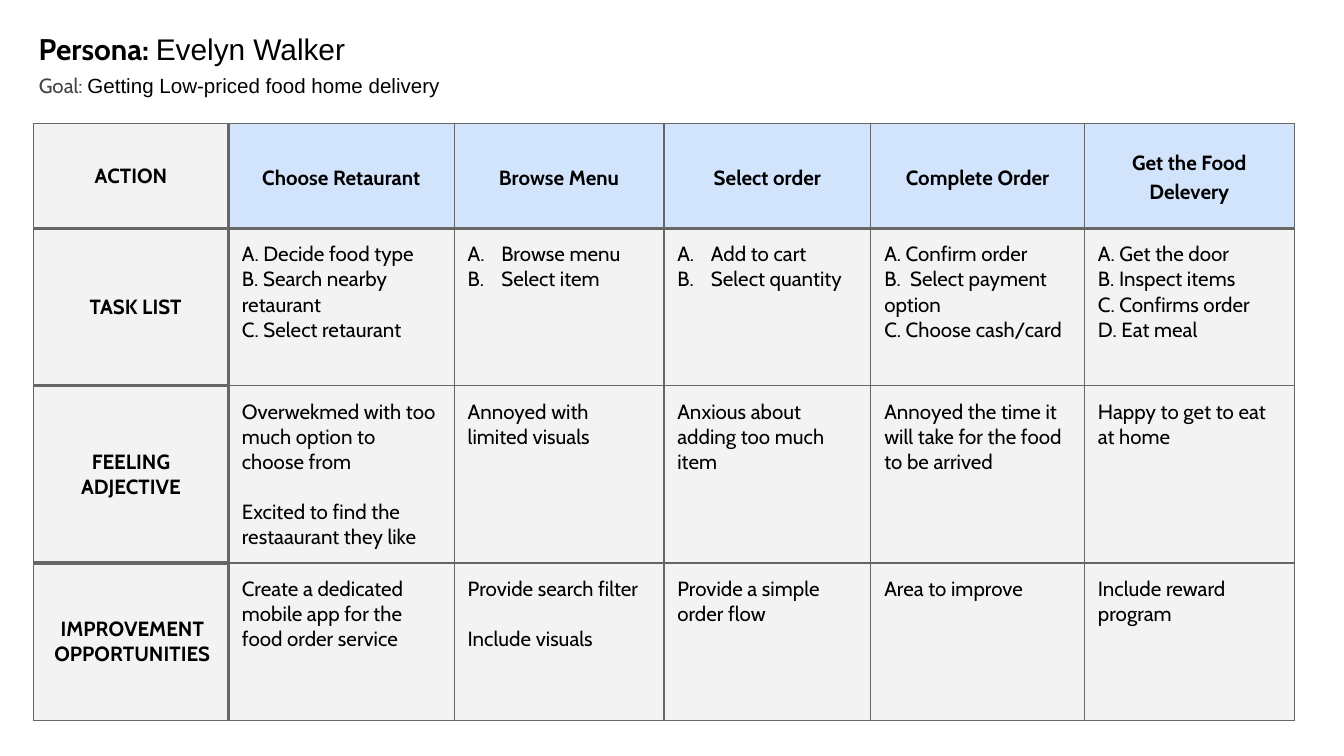
from dataclasses import dataclass

from pptx import Presentation
from pptx.dml.color import RGBColor as Rgb
from pptx.enum.text import MSO_ANCHOR as Anchor, PP_ALIGN as Align
from pptx.oxml import parse_xml as to_xml
from pptx.oxml.ns import nsdecls
from pptx.util import Inches, Pt


@dataclass(frozen=True)
class Theme:
    """Colours, fonts, type sizes and line widths of the slide."""
    ink: str = "000000"
    soft: str = "434343"
    rule: str = "666666"
    head: str = "D2E3FC"
    cell: str = "F3F3F3"
    main: str = "Cabin"
    alt: str = "Arial"
    big: float = 16
    body: float = 11
    gap: float = 13.4
    thin: float = 0.75
    thick: float = 2.25


THEME = Theme()
WIDE = Inches(10)
HIGH = WIDE * 9 // 16
COLS = [1.45, 1.68, 1.56, 1.54, 1.59, 1.56]
ROWS = [0.78, 1.17, 1.32, 1.17]
PAD = {f"margin_{side}": Inches(0.1) for side in ("left", "right", "top", "bottom")}
HEADS = ["Choose Retaurant", "Browse Menu", "Select order", "Complete Order",
         "Get the Food Delevery"]
LABELS = ["ACTION", "TASK LIST", "FEELING ADJECTIVE", "IMPROVEMENT OPPORTUNITIES"]
TASKS = [
    ["A. Decide food type", "B. Search nearby retaurant", "C. Select retaurant"],
    ["Browse menu", "Select item"],
    ["Add to cart", "Select quantity"],
    ["A. Confirm order", "B.  Select payment option", "C. Choose cash/card"],
    ["A. Get the door", "B. Inspect items", "C. Confirms order", "D. Eat meal"],
]
MOODS = [
    ["Overwekmed with too much option to choose from",
     "Excited to find the restaaurant they like"],
    ["Annoyed with limited visuals"],
    ["Anxious about adding too much item"],
    ["Annoyed the time it will take for the food to be arrived"],
    ["Happy to get to eat at home"],
]
IDEAS = [
    ["Create a dedicated mobile app for the food order service"],
    ["Provide search filter", "Include visuals"],
    ["Provide a simple order flow"],
    ["Area to improve"],
    ["Include reward program"],
]


def apply(item, form):
    """Set each attribute named in a dict of format values."""
    for name, value in form.items():
        setattr(item, name, value)


def add_run(para, text, size=THEME.body, face=THEME.main, ink=THEME.ink, bold=False):
    """Add one run of styled text."""
    run = para.add_run()
    run.text = text
    apply(run.font, {"size": Pt(size), "name": face, "bold": bold})
    run.font.color.rgb = Rgb.from_string(ink)


def add_line(slide, box, runs, after=0):
    """Add a text box that holds one line of runs."""
    frame = slide.shapes.add_textbox(*map(Inches, box)).text_frame
    apply(frame, {"word_wrap": True, **PAD})
    para = frame.paragraphs[0]
    para.space_after = Pt(after)
    for text, form in runs:
        add_run(para, text, **form)


def fill_text(frame, texts, form, bold=False, gap=0):
    """Write paragraphs with a gap before all but the first."""
    for i, text in enumerate(texts):
        para = frame.add_paragraph() if i else frame.paragraphs[0]
        apply(para, form)
        if i and gap:
            para.space_before = Pt(gap)
        add_run(para, text, bold=bold)


def indent(para, left, first):
    """Set the left and first-line indents and return the properties."""
    props = para._p.get_or_add_pPr()
    props.set("marL", str(Inches(left)))
    props.set("indent", str(Inches(first)))
    return props


def letter(frame):
    """Number the paragraphs with capital letters."""
    for para in frame.paragraphs:
        props = indent(para, 0.25, -0.25)
        props.append(to_xml(f'<a:buAutoNum {nsdecls("a")} type="alphaUcPeriod"/>'))


def paint(cell, row, col):
    """Give a cell its borders, margins and fill."""
    last = len(ROWS) - 1
    heavy = {
        "L": col == 1,
        "R": col == 0,
        "T": row == 1 or (col == 0 and row > 0),
        "B": row == 0 or (col == 0 and row < last),
    }
    props = cell._tc.get_or_add_tcPr()
    for side, wide in heavy.items():
        width = Pt(THEME.thick if wide else THEME.thin)
        props.append(to_xml(
            f'<a:ln{side} {nsdecls("a")} w="{width}"><a:solidFill>'
            f'<a:srgbClr val="{THEME.rule}"/></a:solidFill></a:ln{side}>'))
    apply(cell, PAD)
    cell.fill.solid()
    tint = THEME.head if row == 0 and col else THEME.cell
    cell.fill.fore_color.rgb = Rgb.from_string(tint)


def add_grid(slide):
    """Add the journey table."""
    grid = slide.shapes.add_table(
        len(ROWS), len(COLS), Inches(0.25), Inches(0.92),
        Inches(sum(COLS)), Inches(sum(ROWS))).table
    apply(grid, {"first_row": False, "horz_banding": False})
    for col, width in zip(grid.columns, COLS):
        col.width = Inches(width)
    for row, height in zip(grid.rows, ROWS):
        row.height = Inches(height)
    body = [[[head] for head in HEADS], TASKS, MOODS, IDEAS]
    for r, (label, items) in enumerate(zip(LABELS, body)):
        for c, texts in enumerate([[label], *items]):
            cell = grid.cell(r, c)
            paint(cell, r, c)
            title = r == 0 or c == 0
            form = {"alignment": Align.CENTER if title else Align.LEFT}
            if title:
                cell.vertical_anchor = Anchor.MIDDLE
            if r == 0 and c:
                form["line_spacing"] = 1.15
            fill_text(cell.text_frame, texts, form, title, THEME.gap if r > 1 else 0)
    for c in (2, 3):
        letter(grid.cell(1, c).text_frame)
    indent(grid.cell(1, 0).text_frame.paragraphs[0], 0.19, -0.12)
    grid.cell(3, 0).margin_left = Inches(0.12)


def main():
    """Build and save the slide."""
    deck = Presentation()
    apply(deck, {"slide_width": WIDE, "slide_height": HIGH})
    slide = deck.slides.add_slide(deck.slide_layouts[6])
    add_line(slide, (0.19, 0.13, 3.43, 0.44), [
        ("Persona: ", {"size": THEME.big, "bold": True}),
        ("Evelyn Walker", {"size": THEME.big, "face": THEME.alt})])
    add_line(slide, (0.19, 0.45, 9.28, 0.3), [
        ("Goal: ", {"ink": THEME.soft}),
        ("Getting Low-priced food home delivery", {"face": THEME.alt})], after=3)
    add_grid(slide)
    deck.save("out.pptx")


if __name__ == "__main__":
    main()
